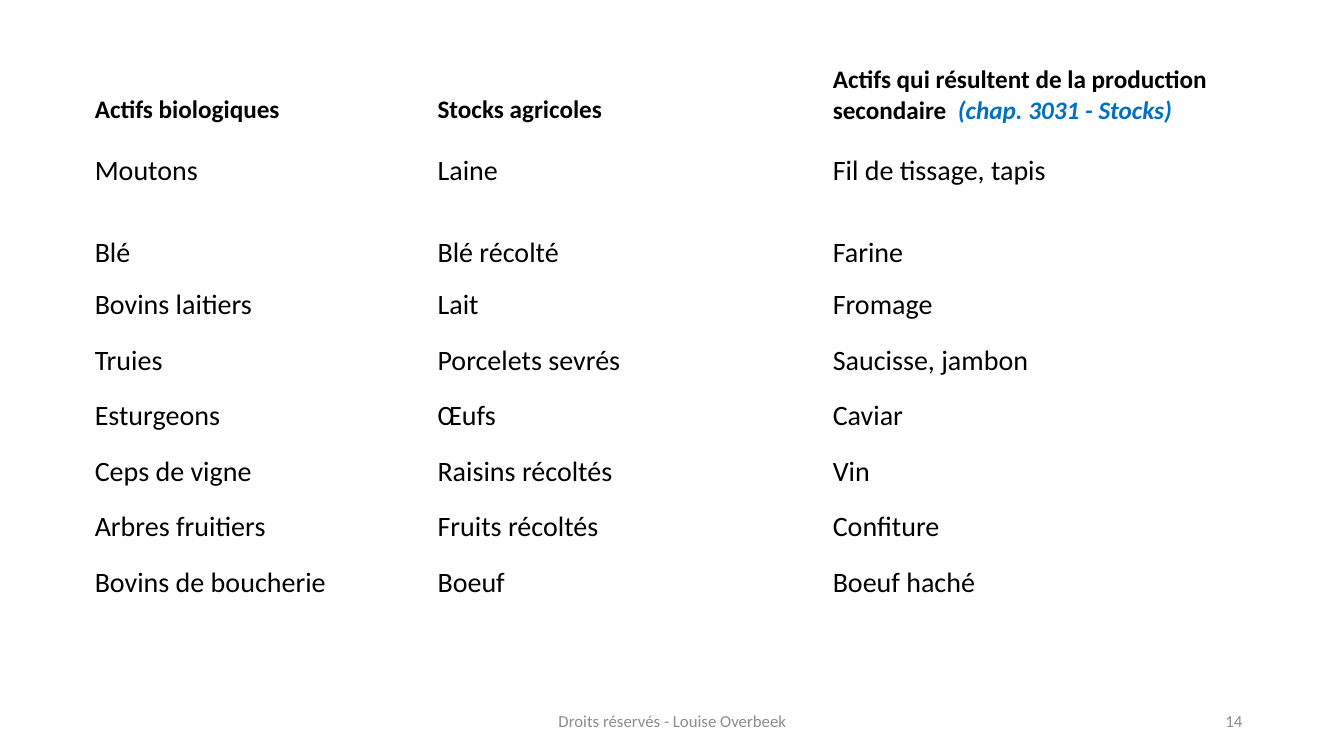
from pptx import Presentation
from pptx.dml.color import RGBColor
from pptx.enum.text import MSO_ANCHOR, PP_ALIGN
from pptx.util import Pt

PX = 9144  # 100 px to the inch
COLORS = {"text": "000000", "note": "0070C0", "foot": "8C8C8C"}
FONT = "Calibri"
PAD = 2
HEAD_LINE = 30

HEADS = [
    "Actifs biologiques",
    "Stocks agricoles",
    "Actifs qui résultent de la production secondaire  ",
]
NOTE = "(chap. 3031 - Stocks)"
ASSETS = [
    ("Moutons", "Laine", "Fil de tissage, tapis"),
    ("Blé", "Blé récolté", "Farine"),
    ("Bovins laitiers", "Lait", "Fromage"),
    ("Truies", "Porcelets sevrés", "Saucisse, jambon"),
    ("Esturgeons", "Œufs", "Caviar"),
    ("Ceps de vigne", "Raisins récoltés", "Vin"),
    ("Arbres fruitiers", "Fruits récoltés", "Confiture"),
    ("Bovins de boucherie", "Boeuf", "Boeuf haché"),
]
COLS = [340, 392, 418]
ROWS = [89, 81, 52] + [55] * 6


def px(*sizes):
    return [size * PX for size in sizes]


def style(font, size, color, bold=False):
    font.name = FONT
    font.size = Pt(size)
    font.bold = bold
    font.color.rgb = RGBColor.from_string(COLORS[color])


def fill_cell(cell, text, head):
    cell.fill.background()
    cell.vertical_anchor = MSO_ANCHOR.TOP
    cell.margin_left = cell.margin_right = PAD * PX
    cell.margin_top = cell.margin_bottom = PAD * PX
    para = cell.text_frame.paragraphs[0]
    para.text = text
    style(para.font, 18 if head else 20, "text", head)


def add_assets(slide, left, top):
    frame = slide.shapes.add_table(
        len(ROWS), len(COLS), *px(left, top, sum(COLS), sum(ROWS)))
    table = frame.table
    table.first_row = table.horz_banding = False
    for col, width in zip(table.columns, COLS):
        col.width = width * PX
    for row, height in zip(table.rows, ROWS):
        row.height = height * PX
    for i, texts in enumerate([HEADS, *ASSETS]):
        for j, text in enumerate(texts):
            fill_cell(table.cell(i, j), text, i == 0)

    # One-line heads sit level with the second line of the last head
    for j in range(2):
        table.cell(0, j).margin_top = (PAD + HEAD_LINE) * PX
    note = table.cell(0, 2).text_frame.paragraphs[0].add_run()
    note.text = NOTE
    style(note.font, 18, "note", True)
    note.font.italic = True


def add_foot(slide, text, align, left, top, width, height):
    box = slide.shapes.add_textbox(*px(left, top, width, height))
    frame = box.text_frame
    frame.word_wrap = True
    frame.vertical_anchor = MSO_ANCHOR.MIDDLE
    para = frame.paragraphs[0]
    para.text = text
    para.alignment = align
    style(para.font, 12, "foot")


def main():
    deck = Presentation()
    deck.slide_width, deck.slide_height = px(1333, 750)
    slide = deck.slides.add_slide(deck.slide_layouts[6])
    add_assets(slide, 92, 62)
    add_foot(slide, "14", PP_ALIGN.RIGHT, 942, 695, 300, 40)
    add_foot(slide, "Droits réservés - Louise Overbeek", PP_ALIGN.CENTER,
             442, 695, 450, 40)
    deck.save("out.pptx")


if __name__ == "__main__":
    main()
